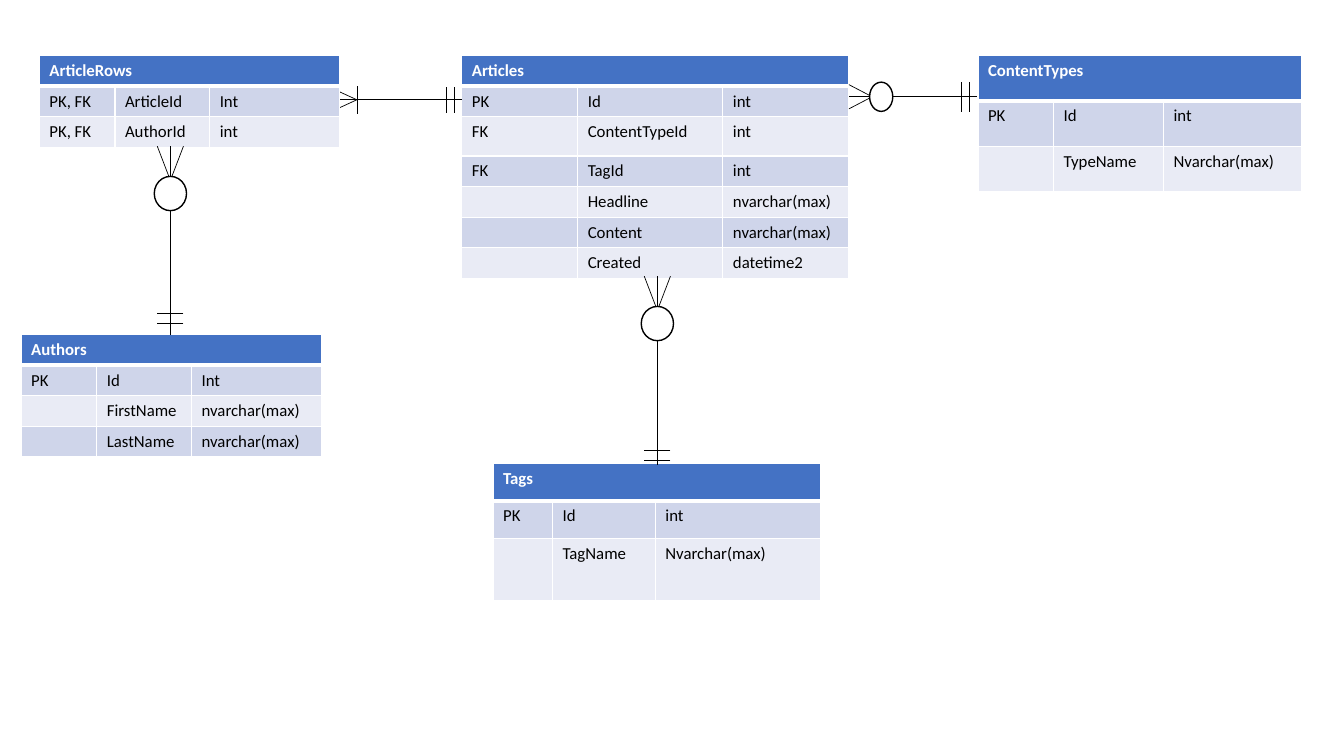
import dataclasses

import lxml.etree
import pptx
import pptx.dml.color
import pptx.enum.shapes
import pptx.oxml.ns
import pptx.util

Inches = pptx.util.Inches
Pt = pptx.util.Pt
qn = pptx.oxml.ns.qn


@dataclasses.dataclass(frozen=True)
class Theme:
    """Colours, font and sizes shared by the whole diagram."""
    header: str = "4472C4"
    bands: tuple = ("CFD5EA", "E9EBF5")
    white: str = "FFFFFF"
    black: str = "000000"
    font: str = "Calibri"
    text_size: int = 12
    border: float = 1
    header_border: float = 3
    link: float = 0.5
    ring: float = 1


@dataclasses.dataclass(frozen=True)
class Relation:
    """A link from its many end to its one end, measured along its axis."""
    axis: float
    many: float
    one: float
    vertical: bool
    foot: tuple
    one_bars: tuple
    bar_half: float
    ring: tuple = ()
    many_bar_half: float = 0

    def point(self, along, across=0):
        """Turn a place along and across the axis into slide x and y."""
        side = self.axis + across
        return (side, along) if self.vertical else (along, side)


THEME = Theme()

ENTITIES = {
    "Authors": ((0.21, 3.32), (0.75, 0.94, 1.29), (0.3,) * 4, (
        ("PK", "Id", "Int"),
        ("", "FirstName", "nvarchar(max)"),
        ("", "LastName", "nvarchar(max)"))),
    "Articles": ((4.58, 0.55), (1.15, 1.44, 1.25), (0.3, 0.3, 0.39) + (0.3,) * 4, (
        ("PK", "Id", "int"),
        ("FK", "ContentTypeId", "int"),
        ("FK", "TagId", "int"),
        ("", "Headline", "nvarchar(max)"),
        ("", "Content", "nvarchar(max)"),
        ("", "Created", "datetime2"))),
    "ContentTypes": ((9.7, 0.55), (0.75, 1.09, 1.37), (0.45,) * 3, (
        ("PK", "Id", "int"),
        ("", "TypeName", "Nvarchar(max)"))),
    "Tags": ((4.89, 4.6), (0.59, 1.02, 1.64), (0.37, 0.37, 0.62), (
        ("PK", "Id", "int"),
        ("", "TagName", "Nvarchar(max)"))),
    "ArticleRows": ((0.39, 0.55), (0.75, 0.94, 1.29), (0.3,) * 3, (
        ("PK, FK", "ArticleId", "Int"),
        ("PK, FK", "AuthorId", "int"))),
}

RELATIONS = (
    Relation(0.99, 3.3, 4.58, False, (0.24, 0.11), (0.07, 0.15), 0.13, many_bar_half=0.14),
    Relation(0.96, 8.42, 9.69, False, (0.23, 0.12), (0.08, 0.15), 0.15, (0.32, 0.23, 0.29)),
    Relation(6.52, 2.74, 4.61, True, (0.34, 0.13), (0.04, 0.14), 0.13, (0.47, 0.34, 0.32)),
    Relation(1.69, 1.45, 3.32, True, (0.34, 0.13), (0.11, 0.21), 0.13, (0.47, 0.34, 0.32)),
)


def rgb(value):
    """Return a colour object for a hex value."""
    return pptx.dml.color.RGBColor.from_string(value)


def set_borders(cell, bottom):
    """Give a cell white borders with its own bottom width."""
    properties = cell._tc.get_or_add_tcPr()
    for side in "LRTB":
        width = bottom if side == "B" else THEME.border
        edge = lxml.etree.SubElement(properties, qn(f"a:ln{side}"), w=str(Pt(width)))
        fill = lxml.etree.SubElement(edge, qn("a:solidFill"))
        lxml.etree.SubElement(fill, qn("a:srgbClr"), val=THEME.white)


def fill_cell(cell, text, fill, color, header=False):
    """Write, colour and border one table cell."""
    set_borders(cell, THEME.header_border if header else THEME.border)
    cell.fill.solid()
    cell.fill.fore_color.rgb = rgb(fill)
    cell.text_frame.text = text
    paragraph = cell.text_frame.paragraphs[0]
    for run in paragraph.runs:
        run.font.name = THEME.font
        run.font.size = Pt(THEME.text_size)
        run.font.bold = header
        run.font.color.rgb = rgb(color)
    if not text:
        lxml.etree.SubElement(paragraph._p, qn("a:endParaRPr"), sz=str(THEME.text_size * 100))


def add_entity(slide, name):
    """Add one entity table with a merged header and banded fields."""
    (left, top), widths, heights, fields = ENTITIES[name]
    entity = slide.shapes.add_table(
        len(heights), len(widths), Inches(left), Inches(top),
        Inches(sum(widths)), Inches(sum(heights))).table
    for column, width in zip(entity.columns, widths):
        column.width = Inches(width)
    for row, height in zip(entity.rows, heights):
        row.height = Inches(height)
    for column in range(len(widths)):
        fill_cell(entity.cell(0, column), "" if column else name, THEME.header, THEME.white, True)
    entity.cell(0, 0).merge(entity.cell(0, len(widths) - 1))
    for row, field in enumerate(fields, 1):
        for column, text in enumerate(field):
            fill_cell(entity.cell(row, column), text, THEME.bands[(row - 1) % 2], THEME.black)


def add_line(shapes, start, end):
    """Add a thin black line without a shadow."""
    line = shapes.add_connector(
        pptx.enum.shapes.MSO_CONNECTOR.STRAIGHT, *map(Inches, start + end))
    line.line.color.rgb = rgb(THEME.black)
    line.line.width = Pt(THEME.link)
    lxml.etree.SubElement(line._element.spPr, qn("a:effectLst"))


def add_ring(shapes, center, size):
    """Add the white ring that marks an optional end."""
    left, top = (middle - extent / 2 for middle, extent in zip(center, size))
    ring = shapes.add_shape(
        pptx.enum.shapes.MSO_SHAPE.OVAL, *map(Inches, (left, top, *size)))
    ring.shadow.inherit = False
    ring.fill.solid()
    ring.fill.fore_color.rgb = rgb(THEME.white)
    ring.line.color.rgb = rgb(THEME.black)
    ring.line.width = Pt(THEME.ring)


def add_relation(slide, relation):
    """Add a grouped crow's foot link between two entities."""
    shapes = slide.shapes.add_group_shape().shapes
    point = relation.point
    depth, spread = relation.foot
    tip = relation.many + depth
    add_line(shapes, point(relation.one), point(relation.many))
    for toe in (-spread, spread):
        add_line(shapes, point(tip), point(relation.many, toe))
    bars = [(relation.one - gap, relation.bar_half) for gap in relation.one_bars]
    if relation.many_bar_half:
        bars.append((tip, relation.many_bar_half))
    for along, half in bars:
        add_line(shapes, point(along, half), point(along, -half))
    if relation.ring:
        distance, length, breadth = relation.ring
        size = (breadth, length) if relation.vertical else (length, breadth)
        add_ring(shapes, point(relation.many + distance), size)


def main():
    """Build the article database diagram."""
    deck = pptx.Presentation()
    deck.slide_width, deck.slide_height = Inches(13.33), Inches(7.5)
    slide = deck.slides.add_slide(deck.slide_layouts[6])
    *other_entities, article_rows = ENTITIES
    *other_relations, authors_relation = RELATIONS
    for name in other_entities:
        add_entity(slide, name)
    for relation in other_relations:
        add_relation(slide, relation)
    add_entity(slide, article_rows)
    add_relation(slide, authors_relation)
    deck.save("out.pptx")


main()
